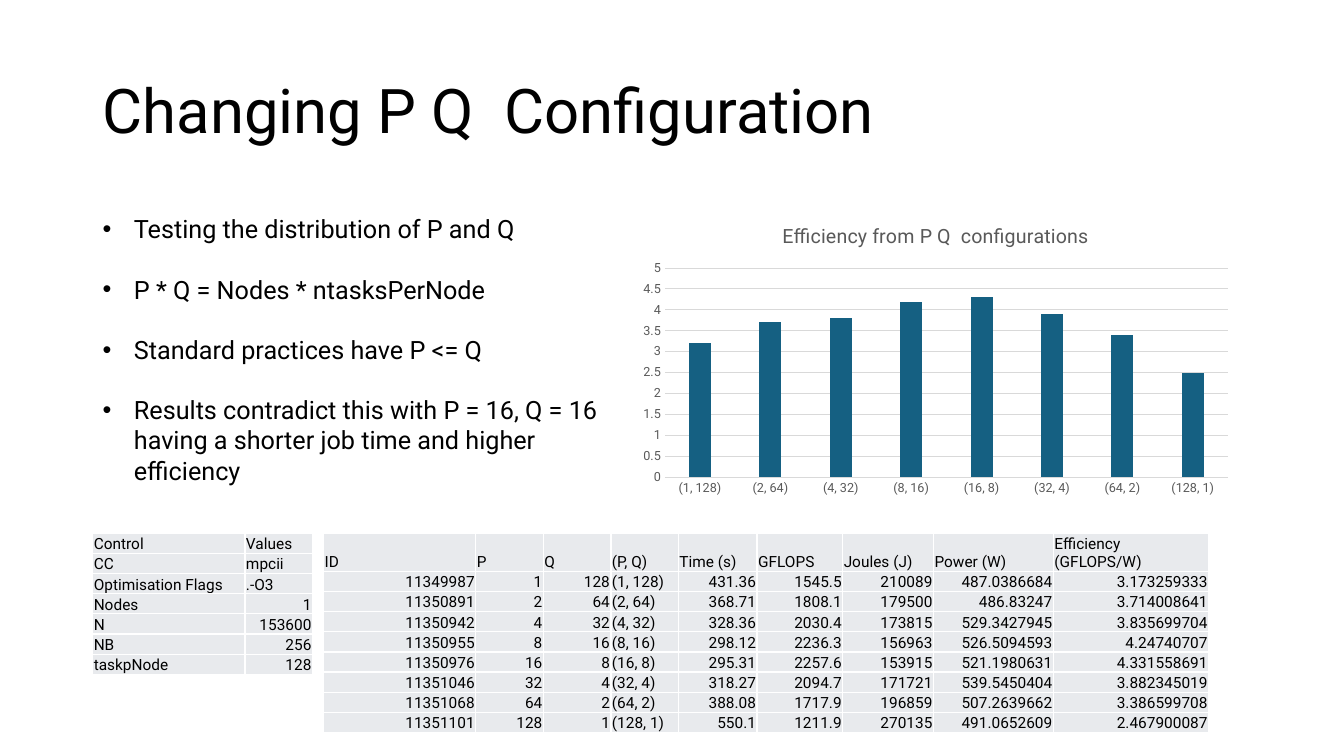
from dataclasses import dataclass

from lxml import etree
from pptx import Presentation
from pptx.chart.data import CategoryChartData
from pptx.dml.color import RGBColor
from pptx.enum.chart import XL_CHART_TYPE, XL_TICK_MARK
from pptx.enum.text import MSO_ANCHOR, PP_ALIGN
from pptx.oxml.ns import qn
from pptx.util import Inches, Pt

COLUMNS = XL_CHART_TYPE.COLUMN_CLUSTERED
NO_TICK = XL_TICK_MARK.NONE
MIDDLE, BOTTOM = MSO_ANCHOR.MIDDLE, MSO_ANCHOR.BOTTOM
LEFT, CENTER, RIGHT = PP_ALIGN.LEFT, PP_ALIGN.CENTER, PP_ALIGN.RIGHT


@dataclass(frozen=True)
class Theme:
    font: str = "Roboto"
    ink: RGBColor = RGBColor(0x00, 0x00, 0x00)
    muted: RGBColor = RGBColor(0x59, 0x59, 0x59)
    grid: RGBColor = RGBColor(0xD9, 0xD9, 0xD9)
    bar: RGBColor = RGBColor(0x15, 0x60, 0x82)
    cell: RGBColor = RGBColor(0xE8, 0xEA, 0xED)
    border: str = "FFFFFF"
    title: int = 44
    body: int = 18
    chart_title: int = 14
    chart: int = 10
    table: int = 11
    axis: int = 9


theme = Theme()


def write(paragraph, text, *, size, color=theme.ink, align=LEFT, line=None, bullet=False):
    paragraph.alignment = align
    if line:
        paragraph.line_spacing = line
    if bullet:
        paragraph.space_after = Pt(21.5)
        properties = paragraph._p.get_or_add_pPr()
        properties.set("marL", str(Inches(0.31)))
        properties.set("indent", str(-Inches(0.31)))
        etree.SubElement(properties, qn("a:buFont"), typeface="Arial")
        etree.SubElement(properties, qn("a:buChar"), char="•")
    run = paragraph.add_run()
    run.text = text
    run.font.name, run.font.size, run.font.bold = theme.font, Pt(size), False
    run.font.color.rgb = color


def add_data_table(slide, left, widths, rows):
    shape = slide.shapes.add_table(
        len(rows), len(widths), Inches(left), Inches(5.29),
        Inches(sum(widths)), Inches(0.2 * len(rows)))
    table = shape.table
    table.first_row = table.horz_banding = False
    for column, width in zip(table.columns, widths):
        column.width = Inches(width)
    for row_index, values in enumerate(rows):
        for column_index, value in enumerate(values):
            cell = table.cell(row_index, column_index)
            cell.margin_left = cell.margin_right = cell.margin_top = Inches(0.01)
            cell.margin_bottom = 0
            cell.vertical_anchor = BOTTOM
            is_number = value.replace(".", "").isdigit()
            write(cell.text_frame.paragraphs[0], value, size=theme.table,
                  align=RIGHT if is_number else LEFT)
            properties = cell._tc.get_or_add_tcPr()
            for side in ("lnL", "lnR", "lnT", "lnB"):
                border = etree.SubElement(properties, qn(f"a:{side}"), w=str(Pt(1)))
                fill = etree.SubElement(border, qn("a:solidFill"))
                etree.SubElement(fill, qn("a:srgbClr"), val=theme.border)
            cell.fill.solid()
            cell.fill.fore_color.rgb = theme.cell


presentation = Presentation()
presentation.slide_width, presentation.slide_height = Inches(13.33), Inches(7.5)
slide = presentation.slides.add_slide(presentation.slide_layouts[6])

# Title
title = slide.shapes.add_textbox(Inches(0.92), Inches(0.4), Inches(11.5), Inches(1.45))
title.text_frame.word_wrap = True
title.text_frame.vertical_anchor = MIDDLE
write(title.text_frame.paragraphs[0], "Changing P Q  Configuration",
      size=theme.title, line=0.9)

# Job results
header = ["ID", "P", "Q", "(P, Q)", "Time (s)", "GFLOPS", "Joules (J)",
          "Power (W)", "Efficiency (GFLOPS/W)"]
measurements = [
    ("11349987", "431.36", "1545.5", "210089", "487.0386684", "3.173259333"),
    ("11350891", "368.71", "1808.1", "179500", "486.83247", "3.714008641"),
    ("11350942", "328.36", "2030.4", "173815", "529.3427945", "3.835699704"),
    ("11350955", "298.12", "2236.3", "156963", "526.5094593", "4.24740707"),
    ("11350976", "295.31", "2257.6", "153915", "521.1980631", "4.331558691"),
    ("11351046", "318.27", "2094.7", "171721", "539.5450404", "3.882345019"),
    ("11351068", "388.08", "1717.9", "196859", "507.2639662", "3.386599708"),
    ("11351101", "550.1", "1211.9", "270135", "491.0652609", "2.467900087"),
]
results = []
for power, (job, *values) in enumerate(measurements):
    p, q = 2 ** power, 2 ** (7 - power)
    results.append([job, str(p), str(q), f"({p}, {q})", *values])

# Control values
control = [
    ("Control", "Values"),
    ("CC", "mpcii"),
    ("Optimisation Flags", ".-O3"),
    ("Nodes", "1"),
    ("N", "153600"),
    ("NB", "256"),
    ("taskpNode", "128"),
]

# Tables
add_data_table(slide, 0.92, [1.51, 0.67], control)
add_data_table(slide, 3.21, [1.51, 0.67, 0.67, 0.67, 0.78, 0.85, 0.9, 1.19, 1.54],
               [header, *results])

# Efficiency chart
chart_data = CategoryChartData()
chart_data.categories = [row[3] for row in results]
chart_data.add_series("Efficiency", [round(float(row[-1]), 1) for row in results])
chart = slide.shapes.add_chart(
    COLUMNS, Inches(6.26), Inches(2.06), Inches(6.04), Inches(2.92), chart_data).chart
chart.font.name, chart.font.size = theme.font, Pt(theme.chart)
chart.font.color.rgb = theme.ink
chart.has_legend = False
chart.has_title = True
chart.chart_title.include_in_layout = False
write(chart.chart_title.text_frame.paragraphs[0], "Efficiency from P Q  configurations",
      size=theme.chart_title, color=theme.muted, align=CENTER)

plot = chart.plots[0]
plot.gap_width, plot.overlap = 219, -27
plot.vary_by_categories = False
bars = plot.series[0].format.fill
bars.solid()
bars.fore_color.rgb = theme.bar

for axis in (chart.category_axis, chart.value_axis):
    axis.major_tick_mark = axis.minor_tick_mark = NO_TICK
    labels = axis.tick_labels.font
    labels.name, labels.size = theme.font, Pt(theme.axis)
    labels.color.rgb = theme.muted
value_axis = chart.value_axis
value_axis.minimum_scale, value_axis.maximum_scale = 0, 5
value_axis.major_unit = 0.5
value_axis.format.line.fill.background()
for line in (chart.category_axis.format.line, value_axis.major_gridlines.format.line):
    line.color.rgb = theme.grid
    line.width = Pt(0.75)

# Findings
findings = [
    "Testing the distribution of P and Q",
    "P * Q = Nodes * ntasksPerNode",
    "Standard practices have P <= Q",
    "Results contradict this with P = 16, Q = 16 having a shorter job time "
    "and higher efficiency",
]
body = slide.shapes.add_textbox(Inches(0.92), Inches(2.07), Inches(5.34), Inches(2.83))
frame = body.text_frame
frame.word_wrap = True
for index, finding in enumerate(findings):
    paragraph = frame.add_paragraph() if index else frame.paragraphs[0]
    write(paragraph, finding, size=theme.body, bullet=True)

presentation.save("out.pptx")
